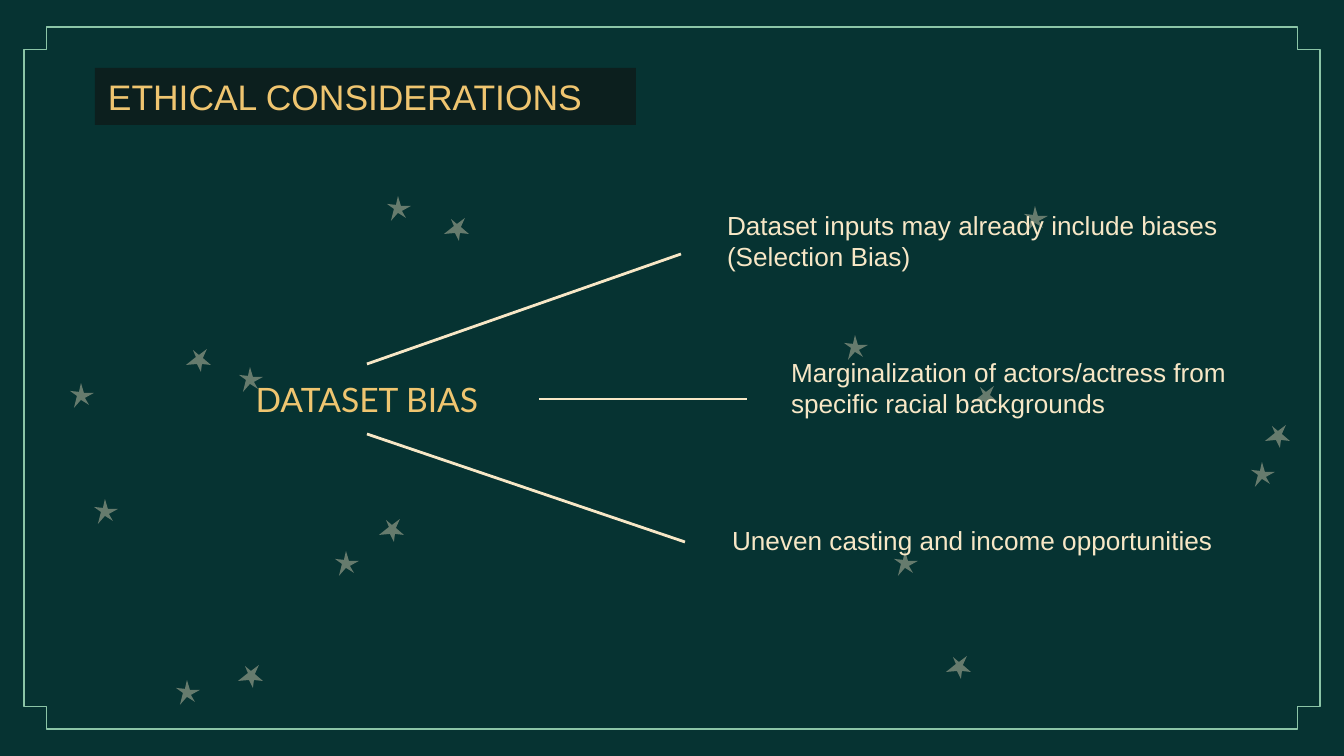
from lxml.etree import SubElement as add_sub
from pptx import Presentation
from pptx.dml.color import RGBColor
from pptx.enum.shapes import MSO_CONNECTOR as Link, MSO_SHAPE as Shape
from pptx.enum.text import MSO_ANCHOR as Anchor, MSO_AUTO_SIZE as Auto, PP_ALIGN as Align
from pptx.oxml.ns import qn
from pptx.util import Pt

SCALE = 914400 / 134.4  # EMU in one px

GREEN = RGBColor(0x06, 0x33, 0x32)
DARK = RGBColor(0x0C, 0x1F, 0x1E)
MINT = RGBColor(0x8B, 0xC5, 0xA7)
CREAM = RGBColor(0xF7, 0xE7, 0xC6)
GOLD = RGBColor(0xEF, 0xC5, 0x70)

# Star outlines, from the top left of each star
TILTED = [(21, 0), (13, 6), (7, 1), (10, 8), (0, 16),
          (11, 15), (15, 23), (16, 15), (25, 16), (17, 9)]
UPRIGHT = [(11, 0), (9, 9), (0, 8), (7, 13), (4, 25),
           (11, 17), (19, 22), (15, 15), (24, 10), (14, 10)]
STARS = [
    (TILTED, [(973, 386), (444, 218), (186, 349), (379, 519),
              (238, 665), (946, 656), (1265, 425)]),
    (UPRIGHT, [(1024, 206), (894, 551), (844, 335), (387, 196), (239, 367),
               (335, 551), (176, 680), (1251, 462), (94, 499), (70, 383)]),
]

POINTS = [
    ("Dataset inputs may already include biases\n(Selection Bias)", (714, 196, 528, 89)),
    ("Marginalization of actors/actress from specific racial backgrounds",
     (778, 343, 480, 110)),
    ("Uneven casting and income opportunities", (719, 511, 601, 89)),
]

# Side of the topic box, then the far end of the line
LINKS = [(2, (685, 542)), (0, (681, 254)), (3, (747, 399))]


def px(num):
    return round(num * SCALE)


def add_star(slide, form, left, top):
    spots = [(left + x, top + y) for x, y in form]
    build = slide.shapes.build_freeform(*spots[0], scale=SCALE)
    build.add_line_segments(spots[1:], close=True)
    star = build.convert_to_shape()
    star.shadow.inherit = False
    star.line.fill.background()
    star.fill.solid()
    star.fill.fore_color.rgb = CREAM
    color = star.element.spPr.find(".//" + qn("a:srgbClr"))
    add_sub(color, qn("a:alpha"), val="40000")


def add_frame(slide):
    frame = slide.shapes.add_shape(Shape.CROSS, px(24), px(27), px(1296), px(702))
    frame.adjustments[0] = 0.032
    frame.shadow.inherit = False
    frame.fill.background()
    frame.line.color.rgb = MINT
    frame.line.width = Pt(0.75)


def set_text(box, text, area, size, color, font="Arial",
             align=Align.LEFT, anchor=Anchor.TOP):
    # Bring the placeholder in front of the stars
    box.element.getparent().append(box.element)
    box.left, box.top, box.width, box.height = map(px, area)
    frame = box.text_frame
    frame.text = text
    frame.word_wrap = True
    frame.auto_size = Auto.NONE
    frame.vertical_anchor = anchor
    frame.margin_left = frame.margin_right = px(13)
    frame.margin_top = frame.margin_bottom = px(13)
    for para in frame.paragraphs:
        props = para._p.get_or_add_pPr()
        props.set("marL", "0")
        props.set("indent", "0")
        add_sub(props, qn("a:buNone"))
        para.alignment = align
        para.space_before = Pt(0)
        para.line_spacing = 1.0
        for run in para.runs:
            run.font.name = font
            run.font.size = Pt(size)
            run.font.bold = False
            run.font.color.rgb = color


def add_link(slide, box, side, end):
    x, y = map(px, end)
    line = slide.shapes.add_connector(Link.STRAIGHT, x, y, x, y)
    line.begin_connect(box, side)
    line.line.color.rgb = CREAM
    line.line.width = Pt(1.5)
    add_sub(line.element.spPr, qn("a:effectLst"))


def main():
    deck = Presentation()
    deck.slide_width, deck.slide_height = px(1344), px(756)
    slide = deck.slides.add_slide(deck.slide_layouts[4])
    slide.background.fill.solid()
    slide.background.fill.fore_color.rgb = GREEN

    # Backdrop
    for form, spots in STARS:
        for left, top in spots:
            add_star(slide, form, left, top)
    add_frame(slide)

    # Topic and its points
    title, topic, *boxes = slide.placeholders
    for box, (text, area) in zip(boxes, POINTS):
        set_text(box, text, area, 14, CREAM)
    set_text(topic, "DATASET BIAS", (195, 364, 344, 70), 18, GOLD,
             "Lato", Align.CENTER, Anchor.MIDDLE)
    for side, end in LINKS:
        add_link(slide, topic, side, end)

    # Heading
    set_text(title, "ETHICAL CONSIDERATIONS", (95, 68, 541, 57), 19, GOLD,
             anchor=Anchor.MIDDLE)
    title.fill.solid()
    title.fill.fore_color.rgb = DARK

    deck.save("out.pptx")


if __name__ == "__main__":
    main()
